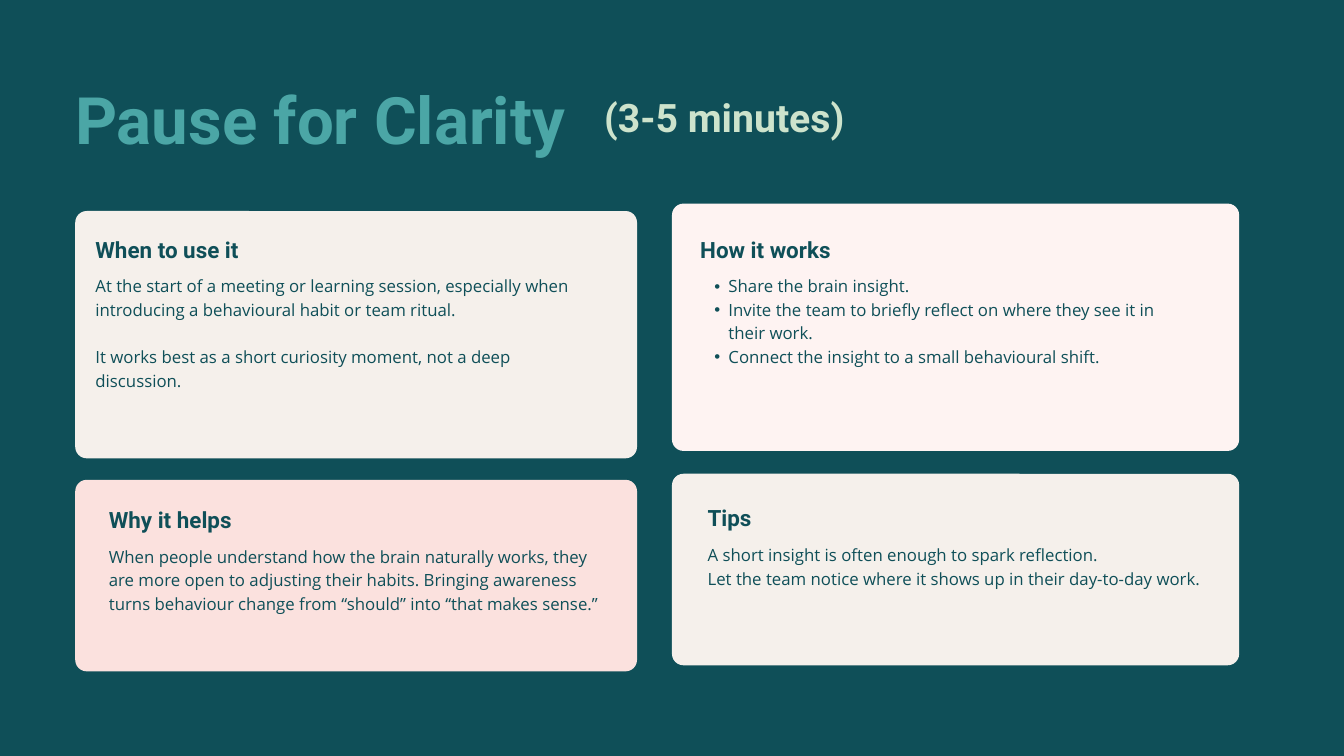
"""Build the "Pause for Clarity" slide with its four guidance cards."""
from dataclasses import dataclass

from lxml.etree import SubElement
from pptx import Presentation
from pptx.dml.color import RGBColor
from pptx.enum.shapes import MSO_SHAPE
from pptx.enum.text import MSO_ANCHOR, PP_ALIGN
from pptx.oxml.ns import qn
from pptx.slide import Slide
from pptx.util import Emu, Pt

EMU_PER_PX = 9144
CORNER = 17
HEADING_TO_BODY = 62
BULLET_INDENT = 42
BULLET_HANG = 21
LINE_RATIO = 1.4

COLORS = {
    "background": "0F4F58",
    "ink": "0F4F58",
    "title": "4BA6A6",
    "duration": "CDE3CC",
    "cream": "F5F0EB",
    "blush": "FEF3F2",
    "rose": "FBE1DE",
}


@dataclass(frozen=True)
class Box:
    left: int
    top: int
    width: int
    height: int

    def emu(self) -> tuple[Emu, ...]:
        return tuple(px(n) for n in (self.left, self.top, self.width, self.height))


@dataclass(frozen=True)
class TextStyle:
    font: str
    size: int
    color: str
    bold: bool = False


@dataclass(frozen=True)
class Card:
    box: Box
    fill: str
    heading: str
    heading_left: int
    heading_top: int
    body: Box
    lines: tuple[str, ...]
    bulleted: bool = False
    gap: float = 0


TITLE = TextStyle("Roboto", 70, "title", True)
DURATION = TextStyle("Roboto", 42, "duration", True)
HEADING = TextStyle("Roboto", 24, "ink", True)
BODY = TextStyle("Open Sans", 18, "ink")

CARDS = (
    Card(Box(112, 314, 836, 368), "cream", "When to use it", 142, 344,
         Box(142, 406, 738, 204),
         ("At the start of a meeting or learning session, especially when "
          "introducing a behavioural habit or team ritual.",
          "It works best as a short curiosity moment, not a deep discussion."),
         gap=BODY.size * LINE_RATIO),
    Card(Box(1000, 303, 844, 368), "blush", "How it works", 1042, 344,
         Box(1042, 406, 726, 170),
         ("Share the brain insight.",
          "Invite the team to briefly reflect on where they see it in their work.",
          "Connect the insight to a small behavioural shift."),
         bulleted=True),
    Card(Box(112, 714, 836, 285), "rose", "Why it helps", 162, 746,
         Box(162, 808, 738, 136),
         ("When people understand how the brain naturally works, they are more "
          "open to adjusting their habits. Bringing awareness turns behaviour "
          "change from “should” into “that makes sense.”",)),
    Card(Box(1000, 705, 844, 285), "cream", "Tips", 1053, 744,
         Box(1053, 806, 738, 67),
         ("A short insight is often enough to spark reflection.",
          "Let the team notice where it shows up in their day-to-day work.")),
)


def px(length: int) -> Emu:
    return Emu(length * EMU_PER_PX)


def color(name: str) -> RGBColor:
    return RGBColor.from_string(COLORS[name])


def add_text(slide: Slide, box: Box, lines: tuple[str, ...], style: TextStyle,
             bulleted: bool = False, gap: float = 0) -> None:
    frame = slide.shapes.add_textbox(*box.emu()).text_frame
    frame.word_wrap = True
    frame.vertical_anchor = MSO_ANCHOR.TOP
    frame.margin_left = frame.margin_top = frame.margin_right = frame.margin_bottom = 0
    for index, line in enumerate(lines):
        paragraph = frame.add_paragraph() if index else frame.paragraphs[0]
        paragraph.text = line
        paragraph.alignment = PP_ALIGN.LEFT
        paragraph.line_spacing = Pt(style.size * LINE_RATIO)
        if index and gap:
            paragraph.space_before = Pt(gap)
        if bulleted:
            properties = paragraph._p.get_or_add_pPr()
            properties.set("marL", str(px(BULLET_INDENT)))
            properties.set("indent", str(px(-BULLET_HANG)))
            SubElement(properties, qn("a:buFont"), typeface="Arial")
            SubElement(properties, qn("a:buChar"), char="•")
        paragraph.font.name = style.font
        paragraph.font.size = Pt(style.size)
        paragraph.font.bold = style.bold
        paragraph.font.color.rgb = color(style.color)


def add_card(slide: Slide, card: Card) -> None:
    shape = slide.shapes.add_shape(MSO_SHAPE.ROUNDED_RECTANGLE, *card.box.emu())
    shape.adjustments[0] = CORNER / card.box.height
    shape.shadow.inherit = False
    shape.fill.solid()
    shape.fill.fore_color.rgb = color(card.fill)
    shape.line.fill.background()
    heading_box = Box(card.heading_left, card.heading_top, 256, 44)
    add_text(slide, heading_box, (card.heading,), HEADING)
    add_text(slide, card.body, card.lines, BODY, card.bulleted, card.gap)


def main() -> None:
    presentation = Presentation()
    presentation.slide_width, presentation.slide_height = px(2000), px(1125)
    slide = presentation.slides.add_slide(presentation.slide_layouts[6])
    slide.background.fill.solid()
    slide.background.fill.fore_color.rgb = color("background")
    add_text(slide, Box(112, 98, 1310, 131), ("Pause for Clarity",), TITLE)
    add_text(slide, Box(899, 127, 480, 78), ("(3-5 minutes)",), DURATION)
    for card in CARDS:
        add_card(slide, card)
    presentation.save("out.pptx")


if __name__ == "__main__":
    main()
